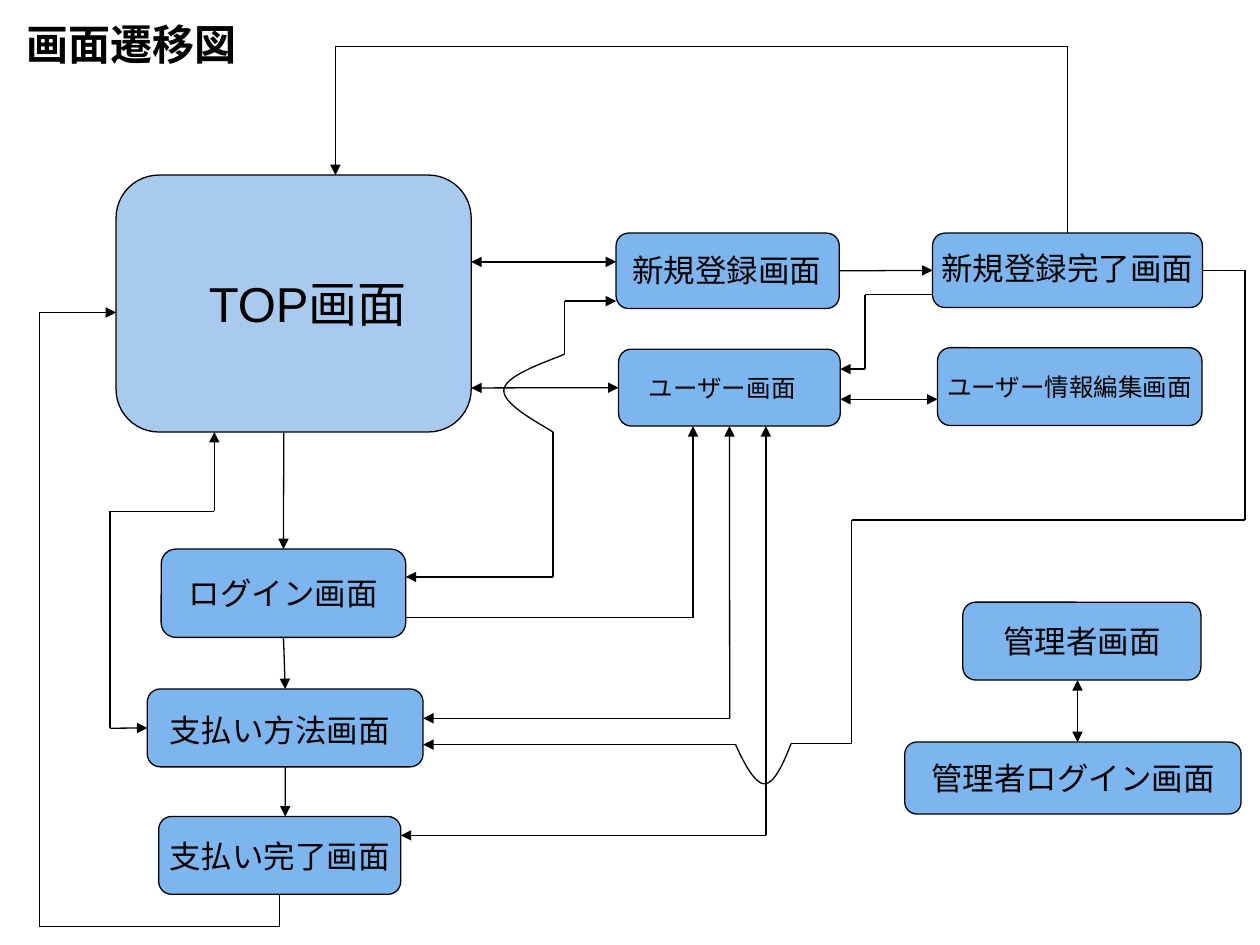
from dataclasses import dataclass
from itertools import pairwise
from typing import Any, Optional

from lxml.etree import SubElement
from pptx import Presentation
from pptx.dml.color import RGBColor
from pptx.enum.shapes import MSO_CONNECTOR, MSO_SHAPE
from pptx.enum.text import MSO_ANCHOR, PP_ALIGN
from pptx.oxml.ns import qn
from pptx.util import Cm, Pt

COLOURS = {"top": "A8CAEE", "screen": "7DB6EF", "ink": "000000"}
TOP, LEFT, BOTTOM, RIGHT = range(4)
CURVE_STEPS = 24
Point = tuple[float, float]
Joint = tuple[str, int]


@dataclass
class Screen:
    name: str
    left: float
    top: float
    width: float
    height: float
    text: str = ""
    size: int = 18
    fill: str = "screen"


@dataclass
class Label:
    text: str
    left: float
    top: float
    width: float
    height: float
    size: int = 18
    bold: bool = False
    indent: float = 0.25
    drop: float = 0.13


@dataclass
class Route:
    points: list[Point]
    start: Optional[Joint] = None
    end: Optional[Joint] = None
    start_arrow: bool = False
    end_arrow: bool = True


SCREENS = [
    Screen("top", 2.34, 3.53, 7.16, 5.18, fill="top"),
    Screen("user", 12.47, 7.04, 4.47, 1.55),
    Screen("payment", 2.97, 13.89, 5.56, 1.57),
    Screen("paid", 3.2, 16.46, 4.88, 1.57, "支払い完了画面"),
    Screen("registered", 18.8, 4.7, 5.44, 1.5),
    Screen("register", 12.42, 4.7, 4.5, 1.52),
    Screen("edit", 18.9, 7.01, 5.33, 1.57, "ユーザー情報編集画面", 14),
    Screen("login", 3.25, 11.07, 4.93, 1.78, "ログイン画面"),
    Screen("admin", 19.41, 12.14, 4.8, 1.57, "管理者画面"),
    Screen("admin login", 18.24, 14.96, 6.78, 1.45, "管理者ログイン画面"),
]

LABELS = [
    Label("画面遷移図", 0.28, 0.25, 6.78, 1.27, 24, bold=True),
    Label("TOP画面", 2.08, 3.1, 7.85, 5.18, 28, indent=2.13, drop=2.41),
    Label("支払い方法画面", 3, 14.2, 5.54, 1.02, indent=0.41),
    Label("ユーザー画面", 12.83, 7.39, 5.36, 1.45, 14),
    Label("新規登録画面", 12.5, 4.93, 6.76, 1.02),
    Label("新規登録完了画面", 18.57, 4.9, 6.68, 1.02, indent=0.41),
]

ROUTES = [
    Route([(8.18, 12.45), (13.97, 12.45), (13.97, 8.59)]),
    Route([(8.53, 14.48), (14.71, 14.48), (14.71, 8.59)],
          end=("user", BOTTOM), start_arrow=True),
    Route([(5.72, 12.85), (5.75, 13.89)], ("login", BOTTOM), ("payment", TOP)),
    Route([(5.75, 15.46), (5.75, 16.46)], ("payment", BOTTOM)),
    Route([(5.64, 18.03), (5.64, 18.67), (0.79, 18.67), (0.79, 6.3), (2.34, 6.3)],
          ("paid", BOTTOM)),
    Route([(8.08, 16.84), (15.44, 16.84), (15.44, 8.59)], start_arrow=True),
    Route([(5.72, 8.71), (5.72, 11.07)], end=("login", TOP)),
    Route([(9.5, 7.82), (12.47, 7.82)], end=("user", LEFT), start_arrow=True),
    Route([(16.94, 8.05), (18.9, 8.05)], start_arrow=True),
    Route([(16.92, 5.46), (18.8, 5.46)], ("register", RIGHT), ("registered", LEFT)),
    Route([(21.52, 4.7), (21.52, 0.94), (6.76, 0.94), (6.76, 3.53)],
          ("registered", TOP)),
    Route([(8.18, 11.63), (11.15, 11.63), (11.15, 8.71)],
          start_arrow=True, end_arrow=False),
    Route([(11.38, 7.14), (11.38, 6.07), (12.42, 6.07)]),
    Route([(24.24, 5.45), (25.1, 5.45), (25.1, 10.48), (17.17, 10.48),
           (17.17, 14.99), (15.95, 14.99)], ("registered", RIGHT), end_arrow=False),
    Route([(14.83, 15.01), (8.53, 15.01)]),
    Route([(4.32, 8.71), (4.32, 10.31), (2.22, 10.31), (2.22, 14.68), (2.97, 14.68)],
          end=("payment", LEFT), start_arrow=True),
    Route([(9.5, 5.28), (12.42, 5.28)], start_arrow=True),
    Route([(18.8, 5.94), (17.44, 5.94), (17.44, 7.44), (16.94, 7.44)]),
    Route([(21.72, 13.71), (21.72, 14.96)], start_arrow=True),
]

CURVES = [
    [(11.15, 8.71), (10.92, 8.56), (10.11, 8.15), (10.16, 7.85),
     (10.21, 7.54), (11.13, 7.26), (11.38, 7.14)],
    [(15.95, 14.99), (15.88, 15.16), (15.65, 15.8), (15.42, 15.8),
     (15.19, 15.82), (14.91, 15.19), (14.83, 15.01)],
]


def colour(name: str) -> RGBColor:
    return RGBColor.from_string(COLOURS[name])


def apply(target: Any, values: dict[str, Any]) -> None:
    for name, value in values.items():
        setattr(target, name, value)


def draw_outline(shape: Any) -> None:
    shape.line.color.rgb = colour("ink")
    shape.line.width = Pt(0.75)


def write(box: Any, text: str, size: int, bold: bool, frame: dict[str, Any],
          align: PP_ALIGN) -> None:
    apply(box.text_frame, frame)
    para = box.text_frame.paragraphs[0]
    para.alignment = align
    span = para.add_run()
    span.text = text
    apply(span.font, {"name": "Arial", "size": Pt(size), "bold": bold})
    span.font.color.rgb = colour("ink")


def draw_screen(page: Any, screen: Screen) -> Any:
    box = page.shapes.add_shape(
        MSO_SHAPE.FLOWCHART_ALTERNATE_PROCESS, Cm(screen.left), Cm(screen.top),
        Cm(screen.width), Cm(screen.height))
    box.shadow.inherit = False
    box.fill.solid()
    box.fill.fore_color.rgb = colour(screen.fill)
    draw_outline(box)
    if screen.text:
        frame = {"word_wrap": False, "vertical_anchor": MSO_ANCHOR.MIDDLE}
        write(box, screen.text, screen.size, False, frame, PP_ALIGN.CENTER)
    return box


def draw_label(page: Any, label: Label) -> None:
    box = page.shapes.add_textbox(
        Cm(label.left), Cm(label.top), Cm(label.width), Cm(label.height))
    frame = {"word_wrap": True, "margin_left": Cm(label.indent),
             "margin_top": Cm(label.drop)}
    write(box, label.text, label.size, label.bold, frame, PP_ALIGN.LEFT)


def draw_route(page: Any, route: Route, boxes: dict[str, Any]) -> None:
    last = len(route.points) - 2
    for index, (begin, end) in enumerate(pairwise(route.points)):
        line = page.shapes.add_connector(
            MSO_CONNECTOR.STRAIGHT, *(Cm(value) for value in begin + end))
        draw_outline(line)
        if index == 0 and route.start:
            line.begin_connect(boxes[route.start[0]], route.start[1])
        if index == last and route.end:
            line.end_connect(boxes[route.end[0]], route.end[1])
        if index == 0 and route.start_arrow:
            SubElement(line.line._get_or_add_ln(), qn("a:headEnd"), type="triangle")
        if index == last and route.end_arrow:
            SubElement(line.line._get_or_add_ln(), qn("a:tailEnd"), type="triangle")
        SubElement(line._element.spPr, qn("a:effectLst"))


def bezier(a: Point, b: Point, c: Point, d: Point) -> list[Point]:
    steps = [step / CURVE_STEPS for step in range(1, CURVE_STEPS + 1)]
    return [tuple((1 - t) ** 3 * p + 3 * (1 - t) ** 2 * t * q
                  + 3 * (1 - t) * t ** 2 * r + t ** 3 * s
                  for p, q, r, s in zip(a, b, c, d)) for t in steps]


def draw_curve(page: Any, points: list[Point]) -> None:
    path = bezier(*points[:4]) + bezier(*points[3:])
    builder = page.shapes.build_freeform(Cm(points[0][0]), Cm(points[0][1]))
    builder.add_line_segments([(Cm(x), Cm(y)) for x, y in path], close=False)
    curve = builder.convert_to_shape()
    curve.shadow.inherit = False
    curve.fill.background()
    draw_outline(curve)


def main() -> None:
    deck = Presentation()
    apply(deck, {"slide_width": Cm(25.4), "slide_height": Cm(19.05)})
    page = deck.slides.add_slide(deck.slide_layouts[6])
    boxes = {screen.name: draw_screen(page, screen) for screen in SCREENS}
    for label in LABELS:
        draw_label(page, label)
    for route in ROUTES:
        draw_route(page, route, boxes)
    for points in CURVES:
        draw_curve(page, points)
    deck.save("out.pptx")


if __name__ == "__main__":
    main()
